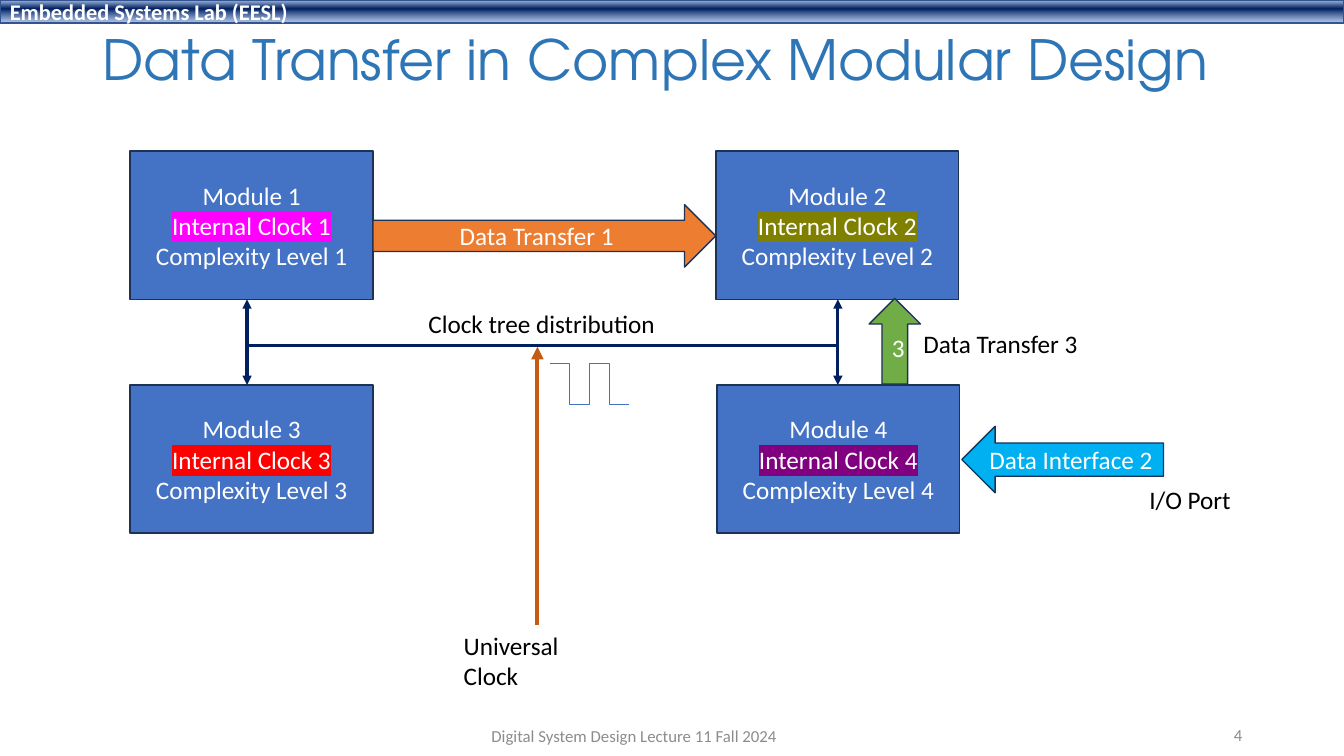
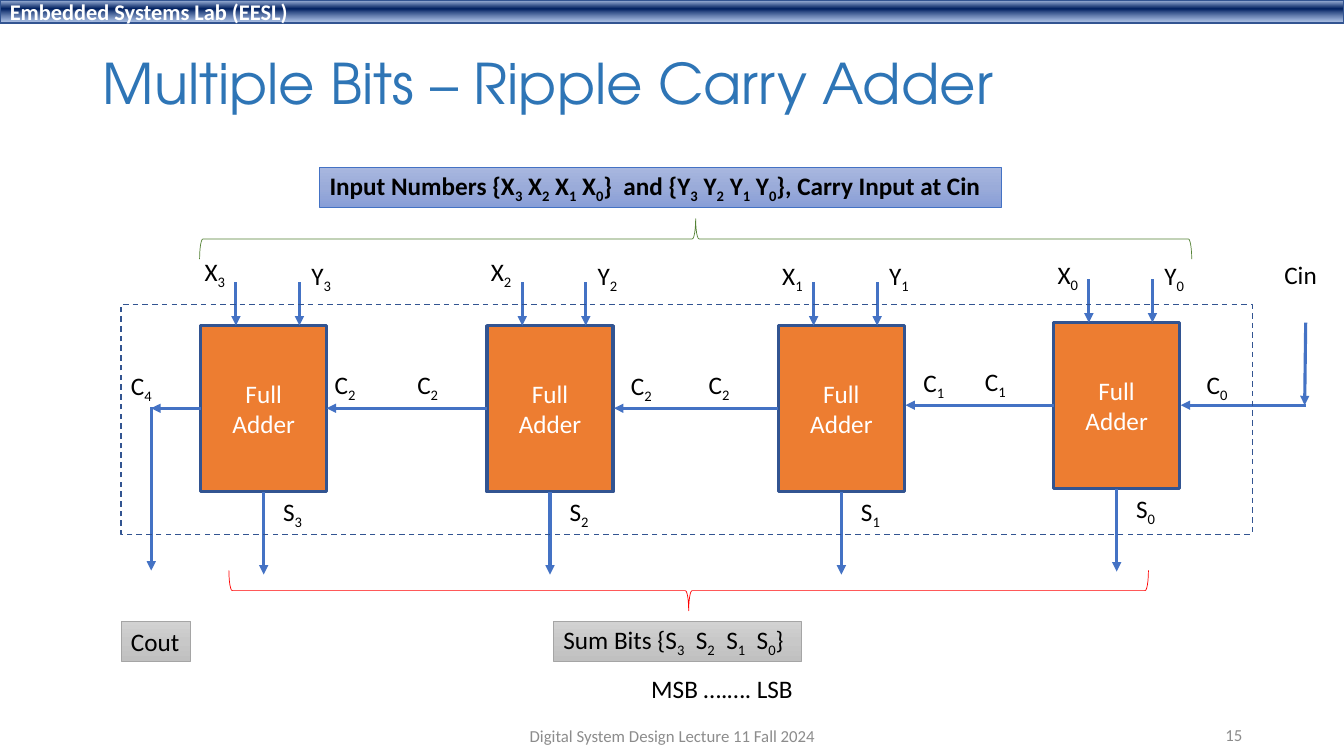
from lxml.etree import SubElement
from pptx import Presentation
from pptx.dml.color import RGBColor
from pptx.enum.dml import MSO_LINE
from pptx.enum.shapes import MSO_CONNECTOR, MSO_SHAPE
from pptx.enum.text import MSO_ANCHOR, PP_ALIGN
from pptx.oxml.ns import qn
from pptx.util import Inches, Pt


class Theme:
    body_font = "Calibri"
    title_font = "TeX Gyre Adventor"
    title_size, body_size, band_size, footer_size = 40, 18, 16, 12
    white, black, grey = "FFFFFF", "000000", "8C8C8C"
    title_blue, blue, navy = "2E75B6", "4472C4", "002060"
    edge, dark_edge, silver_edge = "325491", "1E3256", "A5A5A5"
    orange, rust, green, dark_green = "ED7D31", "C55A11", "70AD47", "548235"
    sky, red = "00B0F0", "FF0000"
    # Gradient stops: position in percent, colour, opacity in percent
    band_fill = ((2, "ABC0E4", 100), (38, "002060", 100), (93, "7E9ED6", 64))
    silver_fill = ((0, "D2D2D2", 100), (50, "C8C8C8", 100), (100, "C0C0C0", 100))
    periwinkle_fill = ((0, "A8B7DF", 100), (50, "9AABD9", 100), (100, "889ED7", 100))


def add_block(slide, at, text="", kind=None, fill=None, edge=None, weight=1.0,
              color=Theme.black, size=Theme.body_size, font=Theme.body_font,
              bold=False, align=PP_ALIGN.LEFT, wrap=True):
    """Add a text box, or a shape if kind is given; "_" makes the next character a subscript."""
    box = [Inches(length) for length in at]
    if kind is None:
        block = slide.shapes.add_textbox(*box)
    else:
        block = slide.shapes.add_shape(kind, *box)
        block.shadow.inherit = False
        block.line.color.rgb = RGBColor.from_string(edge)
        block.line.width = Pt(weight)
        if fill is None:
            block.fill.background()
        elif isinstance(fill, str):
            block.fill.solid()
            block.fill.fore_color.rgb = RGBColor.from_string(fill)
        else:
            block.fill.gradient()
            block.fill.gradient_angle = 270
            stops = block._element.spPr.find(".//" + qn("a:gsLst"))
            stops.clear()
            for position, stop_color, opacity in fill:
                stop = SubElement(stops, qn("a:gs"), pos=str(position * 1000))
                tint = SubElement(stop, qn("a:srgbClr"), val=stop_color)
                if opacity < 100:
                    SubElement(tint, qn("a:alpha"), val=str(opacity * 1000))
    if not text:
        return block

    frame = block.text_frame
    frame.word_wrap = wrap
    frame.vertical_anchor = MSO_ANCHOR.MIDDLE
    for index, line in enumerate(text.split("\n")):
        paragraph = frame.add_paragraph() if index else frame.paragraphs[0]
        paragraph.alignment = align
        paragraph.font.name = font
        paragraph.font.size = Pt(size)
        paragraph.font.bold = bold
        paragraph.font.color.rgb = RGBColor.from_string(color)
        plain, *subscripted = line.split("_")
        paragraph.add_run().text = plain
        for part in subscripted:
            subscript = paragraph.add_run()
            subscript.text = part[0]
            subscript._r.get_or_add_rPr().set("baseline", "-25000")
            if part[1:]:
                paragraph.add_run().text = part[1:]
    return block


def add_wire(slide, start, end, color=Theme.blue, weight=2.25, head=False, tail=True,
             kind=MSO_CONNECTOR.STRAIGHT):
    """Add a connector; head and tail put an arrowhead at its start and its end."""
    wire = slide.shapes.add_connector(kind, *[Inches(length) for length in (*start, *end)])
    wire.line.color.rgb = RGBColor.from_string(color)
    wire.line.width = Pt(weight)
    properties = wire._element.spPr
    outline = properties.find(qn("a:ln"))
    for tag, wanted in (("a:headEnd", head), ("a:tailEnd", tail)):
        if wanted:
            SubElement(outline, qn(tag), type="triangle")
    SubElement(properties, qn("a:effectLst"))


deck = Presentation()
deck.slide_width, deck.slide_height = Inches(13.33), Inches(7.5)

# Band, title, footer and page number
pages = []
for title, title_top, title_height, title_size, footer_left, page_number in (
    ("Data Transfer in Complex Modular Design", 0.24, 0.77, 39.6, 4.04, "4"),
    ("Multiple Bits – Ripple Carry Adder", 0.4, 0.91, Theme.title_size, 4.42, "15"),
):
    page = deck.slides.add_slide(deck.slide_layouts[6])
    add_block(page, (0, 0, 13.33, 0.23), "Embedded Systems Lab (EESL)", MSO_SHAPE.RECTANGLE,
              Theme.band_fill, Theme.edge, color=Theme.white, size=Theme.band_size, bold=True)
    heading = add_block(page, (0.92, title_top, 11.5, title_height), title,
                        color=Theme.title_blue, size=title_size, font=Theme.title_font)
    heading.text_frame.paragraphs[0].line_spacing = 0.9
    add_block(page, (footer_left, 7.1, 4.5, 0.4), "Digital System Design Lecture 11 Fall 2024",
              color=Theme.grey, size=Theme.footer_size, align=PP_ALIGN.CENTER)
    add_block(page, (9.42, 7.09, 3, 0.4), page_number,
              color=Theme.grey, size=Theme.footer_size, align=PP_ALIGN.RIGHT)
    pages.append(page)
modular, adder = pages

# Modules with their own clocks
for number, left, top, clock_color in (
    (1, 1.29, 1.5, "FF00FF"), (2, 7.1, 1.5, "808000"),
    (3, 1.29, 3.82, "FF0000"), (4, 7.11, 3.82, "800080"),
):
    module = add_block(
        modular, (left, top, 2.41, 1.47),
        f"Module {number}\nInternal Clock {number}\nComplexity Level {number}",
        MSO_SHAPE.RECTANGLE, Theme.blue, Theme.dark_edge,
        color=Theme.white, align=PP_ALIGN.CENTER)
    clock_run = module.text_frame.paragraphs[1].runs[0]
    highlight = SubElement(clock_run._r.get_or_add_rPr(), qn("a:highlight"))
    SubElement(highlight, qn("a:srgbClr"), val=clock_color)

# Clock tree
add_wire(modular, (5.33, 6.2), (5.33, 3.44), Theme.rust, 3)
add_wire(modular, (2.45, 3.43), (8.31, 3.43), Theme.navy, tail=False)
for branch in (2.45, 8.31):
    add_wire(modular, (branch, 3.82), (branch, 2.97), Theme.navy, head=True)
pulse_high, pulse_low = 3.61, 4.01
for step in range(3):
    pulse_left = 5.45 + 0.2 * step
    levels = (pulse_low, pulse_high) if step % 2 else (pulse_high, pulse_low)
    add_wire(modular, (pulse_left, levels[0]), (pulse_left + 0.39, levels[1]),
             weight=0.5, tail=False, kind=MSO_CONNECTOR.ELBOW)

# Data transfers
for arrow, at, fill, text in (
    (MSO_SHAPE.RIGHT_ARROW, (3.7, 2.03, 3.4, 0.62), Theme.orange, "Data Transfer 1"),
    (MSO_SHAPE.LEFT_ARROW, (9.54, 4.23, 2, 0.66), Theme.sky, "Data Interface 2"),
    (MSO_SHAPE.UP_ARROW, (8.62, 2.96, 0.51, 0.85), Theme.green, "3"),
):
    add_block(modular, at, text, arrow, fill, Theme.dark_edge,
              color=Theme.white, align=PP_ALIGN.CENTER)
for at, text in (
    ((4.5, 6.2, 1.15, 0.71), "Universal\nClock"),
    ((9.06, 3.21, 1.75, 0.4), "Data Transfer 3"),
    ((11.3, 4.75, 1.02, 0.4), "I/O Port"),
    ((4.15, 3.01, 2.48, 0.4), "Clock tree distribution"),
):
    add_block(modular, at, text, wrap=False)

# Full adders, most significant bit first; each carry runs left to carry_end
adder_width, adder_height = 1.25, 1.65
for bit, left, top, x_label_top, carry_end in (
    (3, 1.99, 3.23, 2.51, 1.5), (2, 4.83, 3.23, 2.51, 3.24),
    (1, 7.72, 3.23, 2.55, 6.09), (0, 10.45, 3.2, 2.54, 8.98),
):
    add_block(adder, (left, top, adder_width, adder_height), "Full\nAdder",
              MSO_SHAPE.RECTANGLE, Theme.orange, Theme.edge, 2.25,
              color=Theme.white, align=PP_ALIGN.CENTER)
    for input_left in (left + 0.35, left + 0.98):
        add_wire(adder, (input_left, top - 0.43), (input_left, top))
    sum_left, sum_top = left + adder_width / 2, top + adder_height
    add_wire(adder, (sum_left, sum_top), (sum_left, sum_top + 0.82))
    add_wire(adder, (left, top + 0.82), (carry_end, top + 0.82))
    for letter, label_left, label_top in (
        ("X", left - 0.06, x_label_top), ("Y", left + 1, 2.55), ("S", left + 0.72, top + 1.66),
    ):
        add_block(adder, (label_left, label_top, 0.42, 0.4), f"{letter}_{bit}", wrap=False)

# Carries
for carry, left, top in (
    (4, 1.2, 3.64), (2, 3.22, 3.63), (2, 4.04, 3.63), (2, 6.16, 3.64),
    (2, 6.93, 3.63), (1, 9.06, 3.61), (1, 9.67, 3.6), (0, 11.87, 3.63),
):
    add_block(adder, (left, top, 0.42, 0.4), f"C_{carry}", wrap=False)
add_wire(adder, (1.5, 4.04), (1.5, 5.66))
add_wire(adder, (12.95, 3.2), (12.94, 4.02))
add_wire(adder, (12.95, 4.02), (11.71, 4.02))

# Frame and braces
frame_outline = add_block(adder, (1.2, 3.02, 11.22, 2.28), kind=MSO_SHAPE.RECTANGLE,
                          edge=Theme.edge)
frame_outline.line.dash_style = MSO_LINE.DASH
for at, turn, edge in (
    ((6.63, 1.3, 0.4, 9.12), 90, Theme.red),
    ((6.7, -2.55, 0.4, 9.84), 270, Theme.dark_green),
):
    brace = add_block(adder, at, kind=MSO_SHAPE.RIGHT_BRACE, edge=edge, weight=0.5)
    brace.rotation = turn

# Inputs and outputs
for at, text, fill, edge, bold in (
    ((3.17, 1.66, 6.76, 0.4),
     "Input Numbers {X_3 X_2 X_1 X_0}  and {Y_3 Y_2 Y_1 Y_0}, Carry Input at Cin",
     Theme.periwinkle_fill, Theme.blue, True),
    ((1.2, 6.16, 0.69, 0.4), "Cout", Theme.silver_fill, Theme.silver_edge, False),
    ((5.49, 6.16, 2.46, 0.4), "Sum Bits {S_3  S_2  S_1  S_0}",
     Theme.silver_fill, Theme.silver_edge, False),
):
    add_block(adder, at, text, MSO_SHAPE.RECTANGLE, fill, edge, 0.5, bold=bold, wrap=False)
add_block(adder, (12.64, 2.52, 0.53, 0.4), "Cin", wrap=False)
add_block(adder, (6.36, 6.63, 1.68, 0.4), "MSB ….…. LSB", wrap=False)

deck.save("out.pptx")
